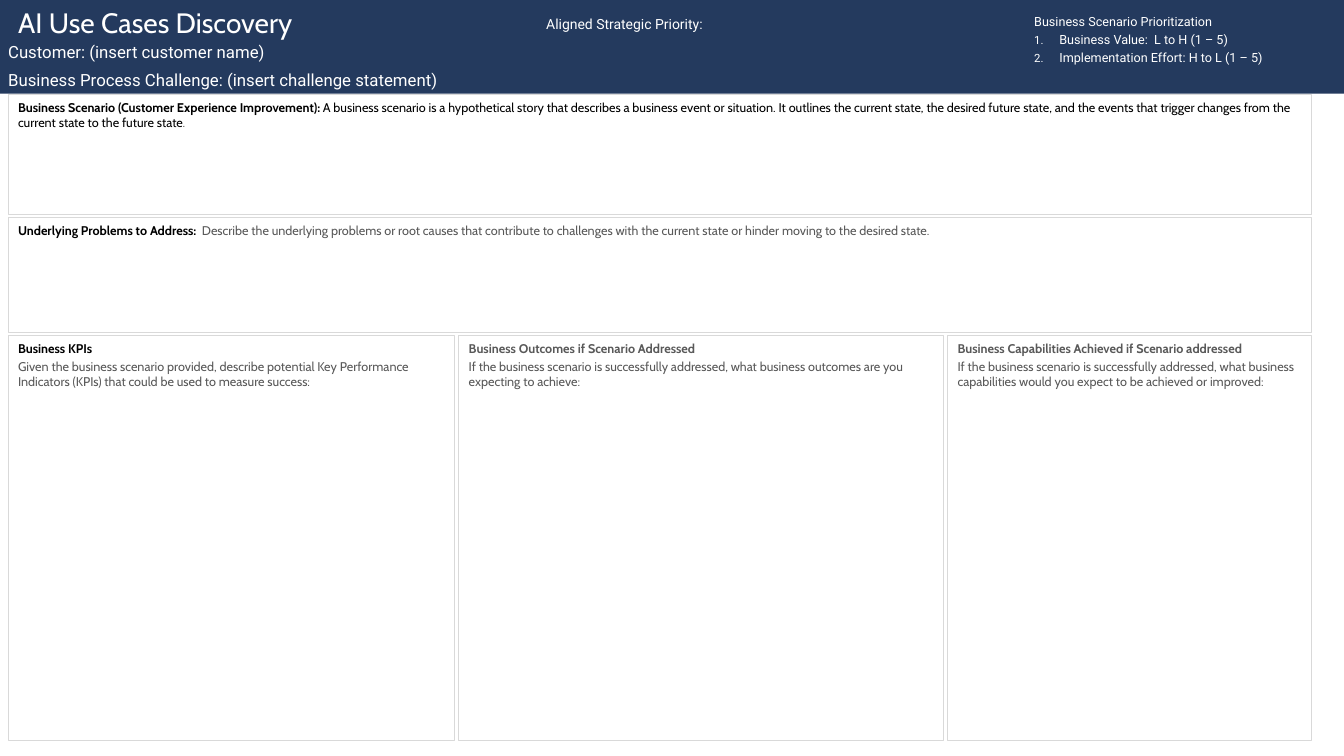
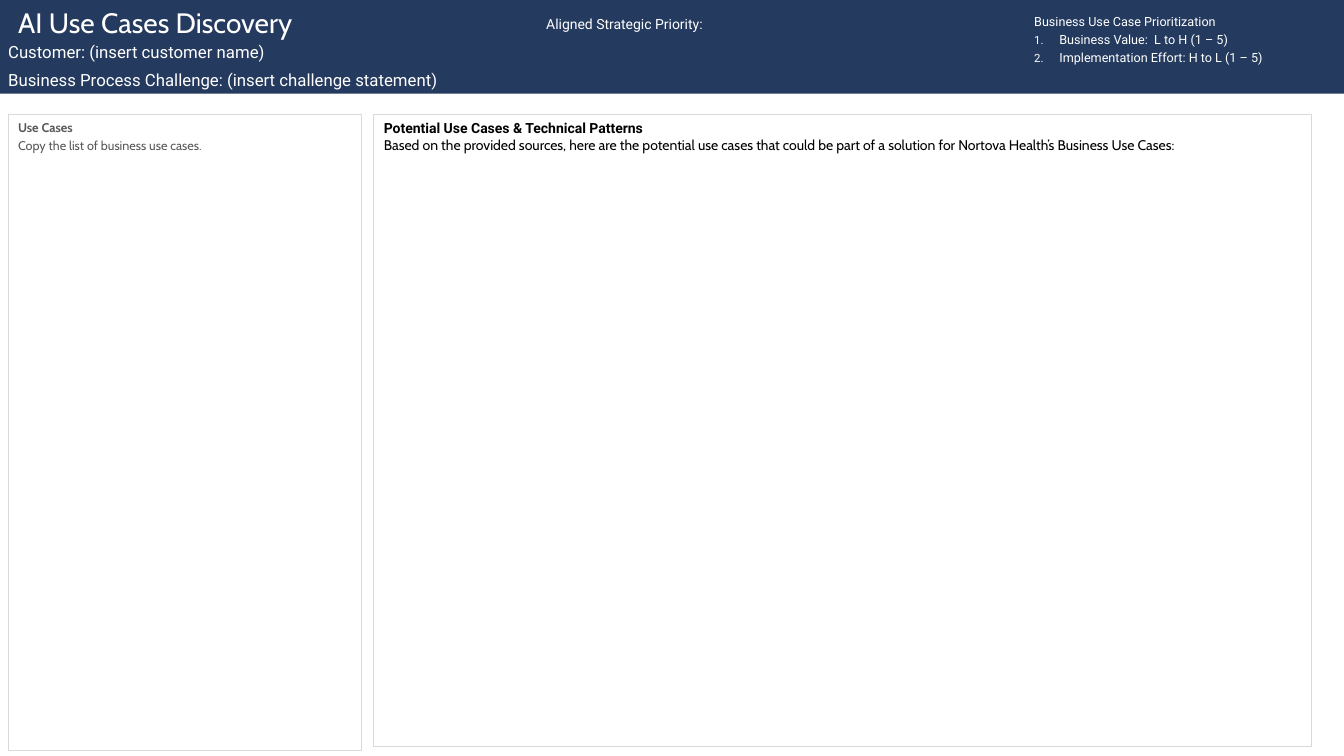
"""Build two worksheet slides for discovering AI use cases."""
from lxml import etree
from pptx import Presentation
from pptx.dml.color import RGBColor
from pptx.enum.shapes import MSO_SHAPE
from pptx.enum.text import MSO_ANCHOR, MSO_AUTO_SIZE, PP_ALIGN
from pptx.oxml.ns import qn
from pptx.util import Pt

RECTANGLE = MSO_SHAPE.RECTANGLE
TOP, MIDDLE = MSO_ANCHOR.TOP, MSO_ANCHOR.MIDDLE
NO_FIT = MSO_AUTO_SIZE.NONE
LEFT = PP_ALIGN.LEFT

NAVY = RGBColor(0x24, 0x3A, 0x5E)
WHITE = RGBColor(0xFF, 0xFF, 0xFF)
BLACK = RGBColor(0, 0, 0)
GREY = RGBColor(0x59, 0x59, 0x59)
BORDER = RGBColor(0xD9, 0xD9, 0xD9)
HEADING_FONT, LABEL_FONT = "Cabin", "Roboto"

SLIDE_W, SLIDE_H, BAND_H = 960, 540, 67
MARGIN, PANEL_W = 5.8, 931
ROW_GAP, COLUMN_GAP, WIDE_GAP = 2.1, 2.9, 8.6


def write(paragraph, text, *, font=HEADING_FONT, size=9, color=GREY, bold=False):
    run = paragraph.add_run()
    run.text = text
    run.font.name = font
    run.font.size = Pt(size)
    run.font.color.rgb = color
    run.font.bold = bold


def setup_frame(frame, *, anchor=TOP, inset=(0, 0)):
    frame.word_wrap = True
    frame.auto_size = NO_FIT
    frame.vertical_anchor = anchor
    frame.margin_left = frame.margin_right = Pt(inset[0])
    frame.margin_top = frame.margin_bottom = Pt(inset[1])


BOLD = {"bold": True}
BLACK_BOLD = {"bold": True, "color": BLACK}

scenario = [[
    ("Business Scenario (Customer Experience Improvement):", BLACK_BOLD),
    (" A business scenario is a hypothetical story that describes a business event or "
     "situation. It outlines the current state, the desired future state, and the events "
     "that trigger changes from the current state to the future state", {"color": BLACK}),
    (".", {}),
]]
problems = [[
    ("Underlying Problems to Address:  ", BLACK_BOLD),
    ("Describe the underlying problems or root causes that contribute to challenges with "
     "the current state or hinder moving to the desired state.", {}),
]]
kpis = [
    [("Business KPIs", BLACK_BOLD)],
    [("Given the business scenario provided, describe potential Key Performance Indicators "
      "(KPIs) that could be used to measure success:", {})],
]
outcomes = [
    [("Business Outcomes if Scenario Addressed", BOLD)],
    [("If the business scenario is successfully addressed, what business outcomes are you "
      "expecting to achieve:", {})],
]
capabilities = [
    [("Business Capabilities Achieved if Scenario addressed", BOLD)],
    [("If the business scenario is successfully addressed, what business capabilities "
      "would you expect to be achieved or improved:", {})],
]
use_cases = [
    [("Use Cases", BOLD)],
    [("Copy the list of business use cases.", {})],
]
patterns = [
    [("Potential Use Cases & Technical Patterns",
      {"font": LABEL_FONT, "size": 10, "color": BLACK, "bold": True})],
    [("Based on the provided sources, here are the potential use cases that could be part "
      "of a solution for Nortova Health’s Business Use Cases:",
      {"size": 10, "color": BLACK})],
]

scenario_top, scenario_h, problems_h = 67.7, 85.7, 82.1
problems_top = scenario_top + scenario_h + ROW_GAP
columns_top = problems_top + problems_h + ROW_GAP
scenario_panels = [
    (MARGIN, scenario_top, PANEL_W, scenario_h, 2, scenario),
    (MARGIN, problems_top, PANEL_W, problems_h, 2, problems),
]
column_left = MARGIN
for column_w, content in ((319, kpis), (346.3, outcomes), (259.9, capabilities)):
    scenario_panels.append((column_left, columns_top, column_w, 289.4, 2, content))
    column_left += column_w + COLUMN_GAP

use_cases_w = 252.7
patterns_left = MARGIN + use_cases_w + WIDE_GAP
use_case_panels = [
    (MARGIN, 82.1, use_cases_w, 454.3, 2, use_cases),
    (patterns_left, 82.1, MARGIN + PANEL_W - patterns_left, 451.4, 0, patterns),
]

header_lines = [
    (MARGIN, 29.5, 302, 14.4, 12, MIDDLE, "Customer: (insert customer name)"),
    (MARGIN, 49.7, 631, 14.4, 12, MIDDLE,
     "Business Process Challenge: (insert challenge statement)"),
    (390.2, 10.8, 330, 29.5, 10, TOP, "Aligned Strategic Priority:"),
]
criteria = ["Business Value:  L to H (1 – 5)", "Implementation Effort: H to L (1 – 5)"]

prs = Presentation()
prs.slide_width, prs.slide_height = Pt(SLIDE_W), Pt(SLIDE_H)
layout = prs.slide_layouts[1]
for placeholder, place in zip(layout.placeholders,
                              ((MARGIN, 0, 341, 29.5), (738.7, 10.1, 207, 51))):
    placeholder.left, placeholder.top, placeholder.width, placeholder.height = map(Pt, place)

slides = [
    ("Business Scenario Prioritization", scenario_panels),
    ("Business Use Case Prioritization", use_case_panels),
]
for number, (priority_heading, panels) in enumerate(slides):
    slide = prs.slides.add_slide(layout)
    if number == 0:
        band = slide.shapes.add_shape(RECTANGLE, 0, 0, Pt(SLIDE_W), Pt(BAND_H))
        band.shadow.inherit = False
        band.fill.solid()
        band.fill.fore_color.rgb = NAVY
        band.line.fill.background()
        layout.shapes._spTree.insert(2, band._element)

    title = slide.shapes.title.text_frame
    setup_frame(title, inset=(7.2, 3.6))
    title.paragraphs[0].alignment = LEFT
    write(title.paragraphs[0], "AI Use Cases Discovery", size=20, color=WHITE)

    for left, top, width, height, size, anchor, text in header_lines:
        header = slide.shapes.add_textbox(Pt(left), Pt(top), Pt(width), Pt(height)).text_frame
        setup_frame(header, anchor=anchor)
        write(header.paragraphs[0], text, font=LABEL_FONT, size=size, color=WHITE)

    priorities = slide.placeholders[1].text_frame
    setup_frame(priorities)
    for index, text in enumerate([priority_heading] + criteria):
        item = priorities.add_paragraph() if index else priorities.paragraphs[0]
        properties = item._p.get_or_add_pPr()
        properties.set("marL", str(Pt(18) if index else 0))
        properties.set("indent", str(Pt(-18) if index else 0))
        if index:
            etree.SubElement(properties, qn("a:buSzPct"), val="90000")
            etree.SubElement(properties, qn("a:buFont"), typeface="+mj-lt")
            etree.SubElement(properties, qn("a:buAutoNum"), type="arabicPeriod")
        else:
            etree.SubElement(properties, qn("a:buNone"))
        item.space_before = Pt(2 if index else 0)
        write(item, text, font=LABEL_FONT, color=WHITE)

    for left, top, width, height, space_after, content in panels:
        panel = slide.shapes.add_shape(RECTANGLE, Pt(left), Pt(top), Pt(width), Pt(height))
        panel.shadow.inherit = False
        panel.fill.solid()
        panel.fill.fore_color.rgb = WHITE
        panel.line.color.rgb = BORDER
        panel.line.width = Pt(0.75)
        setup_frame(panel.text_frame, inset=(7.2, 3.6))
        for index, runs in enumerate(content):
            paragraph = (panel.text_frame.add_paragraph() if index
                         else panel.text_frame.paragraphs[0])
            paragraph.alignment = LEFT
            paragraph.space_after = Pt(space_after)
            for text, text_format in runs:
                write(paragraph, text, **text_format)

prs.save("out.pptx")
